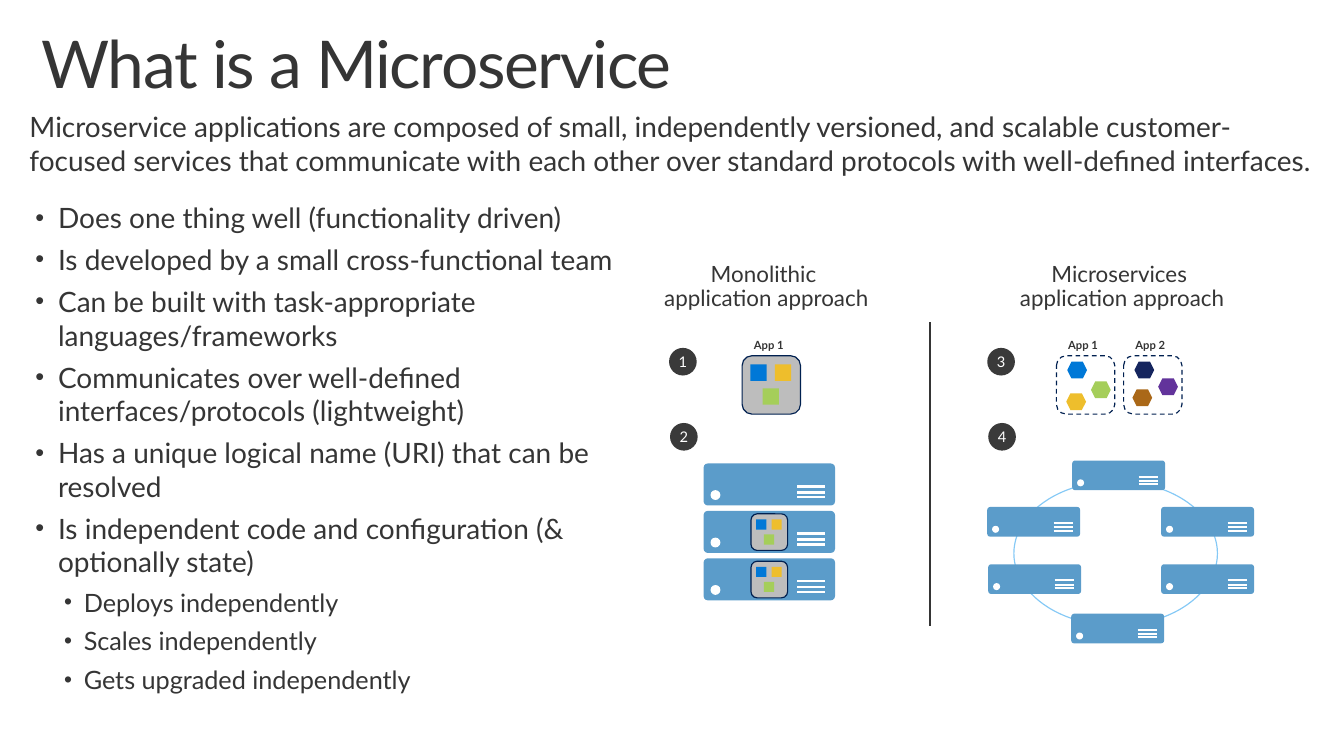
from lxml import etree
from pptx import Presentation
from pptx.dml.color import RGBColor
from pptx.enum import dml, shapes, text
from pptx.oxml.ns import qn
from pptx.util import Inches, Pt

FONT = "Lato"
INK = RGBColor(0x35, 0x35, 0x35)
WHITE = RGBColor(0xFF, 0xFF, 0xFF)
BADGE = RGBColor(0x3A, 0x3A, 0x3A)
SERVER = RGBColor(0x5B, 0x9C, 0xCA)
RING = RGBColor(0x85, 0xC9, 0xF6)
NAVY = RGBColor(0x00, 0x20, 0x50)
GRAY = RGBColor(0xBD, 0xBD, 0xBD)
BLUE = RGBColor(0x00, 0x78, 0xD7)
YELLOW = RGBColor(0xEE, 0xBE, 0x2C)
GREEN = RGBColor(0xA5, 0xCE, 0x5A)
BROWN = RGBColor(0xAA, 0x68, 0x18)
PURPLE = RGBColor(0x62, 0x33, 0x9B)
INDIGO = RGBColor(0x15, 0x25, 0x5E)

SHAPE = shapes.MSO_SHAPE
CENTER = text.PP_ALIGN.CENTER

INTRO = ("Microservice applications are composed of small, independently versioned, "
         "and scalable customer-focused services that communicate with each other "
         "over standard protocols with well-defined interfaces.")
TRAITS = [
    (0, "Does one thing well (functionality driven)"),
    (0, "Is developed by a small cross-functional team"),
    (0, "Can be built with task-appropriate languages/frameworks"),
    (0, "Communicates over well-defined interfaces/protocols (lightweight)"),
    (0, "Has a unique logical name (URI) that can be resolved"),
    (0, "Is independent code and configuration (& optionally state)"),
    (1, "Deploys independently"),
    (1, "Scales independently"),
    (1, "Gets upgraded independently"),
]
LEVELS = [(0.23, -0.23, 20.4), (0.49, -0.2, 18.4)]
BADGES = [("1", 6.77, 3.52), ("2", 6.78, 4.28), ("3", 9.99, 3.52), ("4", 10, 4.28)]
SERVICES = [(10.8, 3.66, BLUE), (11.04, 3.86, GREEN), (10.79, 3.98, YELLOW),
            (11.48, 3.66, INDIGO), (11.72, 3.83, PURPLE), (11.46, 3.94, BROWN)]
RING_SERVERS = [(10.85, 4.66), (11.75, 5.13), (11.75, 5.71),
                (10.84, 6.21), (10, 5.71), (9.99, 5.13)]


def set_margins(tf, x, y):
    tf.margin_left = tf.margin_right = Inches(x)
    tf.margin_top = tf.margin_bottom = Inches(y)


def style_runs(p, size, color=INK, bold=False):
    for r in p.runs:
        r.font.name = FONT
        r.font.size = Pt(size)
        r.font.bold = bold
        r.font.color.rgb = color


def add_text(s, box, content, size, margins=(0.1, 0.05), align=None,
             spacing=None, bold=False, wrap=True):
    tf = s.shapes.add_textbox(*map(Inches, box)).text_frame
    tf.word_wrap = wrap
    set_margins(tf, *margins)
    p = tf.paragraphs[0]
    p.text = content
    p.alignment = align
    p.line_spacing = spacing
    style_runs(p, size, bold=bold)


def add_shape(parent, kind, x, y, w, h, fill=None, line=None, dashed=False):
    sp = parent.add_shape(kind, Inches(x), Inches(y), Inches(w), Inches(h))
    sp.shadow.inherit = False
    if fill is None:
        sp.fill.background()
    else:
        sp.fill.solid()
        sp.fill.fore_color.rgb = fill
    if line is None:
        sp.line.fill.background()
    else:
        sp.line.color.rgb = line
        sp.line.width = Pt(0.85)
        if dashed:
            sp.line.dash_style = dml.MSO_LINE.DASH
    return sp


def add_line(parent, x1, y1, x2, y2, color, width):
    cx = parent.add_connector(shapes.MSO_CONNECTOR.STRAIGHT, Inches(x1), Inches(y1),
                              Inches(x2), Inches(y2))
    cx.line.color.rgb = color
    cx.line.width = Pt(width)
    etree.SubElement(cx._element.spPr, qn("a:effectLst"))


def add_server(s, x, y, width, line_width):
    k = width / 1.33
    parent = s.shapes.add_group_shape().shapes
    body = add_shape(parent, SHAPE.ROUNDED_RECTANGLE, x, y, width, 0.425 * k, SERVER)
    body.adjustments[0] = 0.1
    add_shape(parent, SHAPE.OVAL, x + 0.07 * k, y + 0.27 * k, 0.1 * k, 0.1 * k, WHITE)
    for dy in (0.23, 0.29, 0.34):
        add_line(parent, x + 0.95 * k, y + dy * k, x + 1.23 * k, y + dy * k,
                 WHITE, line_width)


def add_monolith(s, x, y, size):
    parent = s.shapes.add_group_shape().shapes
    add_shape(parent, SHAPE.ROUNDED_RECTANGLE, x, y, size, size, GRAY, NAVY)
    for dx, dy, color in ((0.14, 0.15, BLUE), (0.56, 0.15, YELLOW), (0.35, 0.56, GREEN)):
        add_shape(parent, SHAPE.RECTANGLE, x + dx * size, y + dy * size,
                  0.28 * size, 0.28 * size, color)


def add_badge(s, number, x, y):
    sp = add_shape(s.shapes, SHAPE.OVAL, x, y, 0.28, 0.28, BADGE)
    tf = sp.text_frame
    set_margins(tf, 0, 0.05)
    tf.vertical_anchor = text.MSO_ANCHOR.MIDDLE
    tf.text = number
    tf.paragraphs[0].alignment = CENTER
    style_runs(tf.paragraphs[0], 10.7, WHITE)


def add_app_label(s, name, x):
    add_text(s, (x, 3.44, 0.34, 0.13), name, 8.2, (0, 0), spacing=0.9,
             bold=True, wrap=False)


def add_title(s):
    sp = s.shapes.title
    sp.left, sp.top, sp.width, sp.height = map(Inches, (0.26, 0.22, 13.06, 0.69))
    tf = sp.text_frame
    tf.text = "What is a Microservice"
    tf.auto_size = text.MSO_AUTO_SIZE.NONE
    tf.vertical_anchor = text.MSO_ANCHOR.TOP
    set_margins(tf, 0.16, 0.1)
    p = tf.paragraphs[0]
    p.alignment = text.PP_ALIGN.LEFT
    p.line_spacing = 0.9
    style_runs(p, 48)
    p.runs[0].font._element.set("spc", "-100")


def add_traits(s):
    tf = s.shapes.add_textbox(*map(Inches, (0.26, 1.98, 6.33, 4.03))).text_frame
    tf.word_wrap = True
    for i, (level, trait) in enumerate(TRAITS):
        p = tf.add_paragraph() if i else tf.paragraphs[0]
        left, indent, size = LEVELS[level]
        p.text = trait
        p.level = level
        pPr = p._p.get_or_add_pPr()
        pPr.set("marL", str(Inches(left)))
        pPr.set("indent", str(Inches(indent)))
        etree.SubElement(pPr, qn("a:buSzPct"), val="90000")
        etree.SubElement(pPr, qn("a:buFont"), typeface="Arial")
        etree.SubElement(pPr, qn("a:buChar"), char="•")
        p.space_after = Pt(6.1)
        style_runs(p, size)


def add_monolithic_side(s):
    add_text(s, (6.1, 2.5, 3.31, 0.83), "Monolithic \vapplication approach", 16.3,
             (0.2, 0.16), CENTER, 0.9)
    add_app_label(s, "App 1", 7.63)
    add_monolith(s, 7.51, 3.6, 0.59)
    for row in range(3):
        y = 4.69 + 0.48 * row
        add_server(s, 7.12, y, 1.33, 2)
        if row:
            add_monolith(s, 7.6, y + 0.03, 0.37)


def add_microservices_side(s):
    add_text(s, (9.57, 2.5, 3.57, 0.83), "Microservices \vapplication approach", 16.3,
             (0.2, 0.16), CENTER, 0.9)
    for name, x in (("App 1", 10.69), ("App 2", 11.37)):
        add_app_label(s, name, x + 0.12)
        add_shape(s.shapes, SHAPE.ROUNDED_RECTANGLE, x, 3.6, 0.59, 0.59,
                  line=NAVY, dashed=True)
    for x, y, color in SERVICES:
        add_shape(s.shapes, SHAPE.HEXAGON, x, y, 0.2, 0.17, color)
    add_shape(s.shapes, SHAPE.OVAL, 10.26, 4.87, 2.06, 1.46, line=RING)
    for x, y in RING_SERVERS:
        add_server(s, x, y, 0.94, 1.5)


def main():
    prs = Presentation()
    prs.slide_width, prs.slide_height = Inches(13.6), Inches(7.65)
    s = prs.slides.add_slide(prs.slide_layouts[5])
    add_title(s)
    add_text(s, (0.2, 1.06, 13.28, 0.8), INTRO, 20.4)
    add_traits(s)
    add_monolithic_side(s)
    add_line(s.shapes, 9.41, 3.26, 9.41, 6.33, INK, 1.25)
    add_microservices_side(s)
    for number, x, y in BADGES:
        add_badge(s, number, x, y)
    prs.save("out.pptx")


if __name__ == "__main__":
    main()
